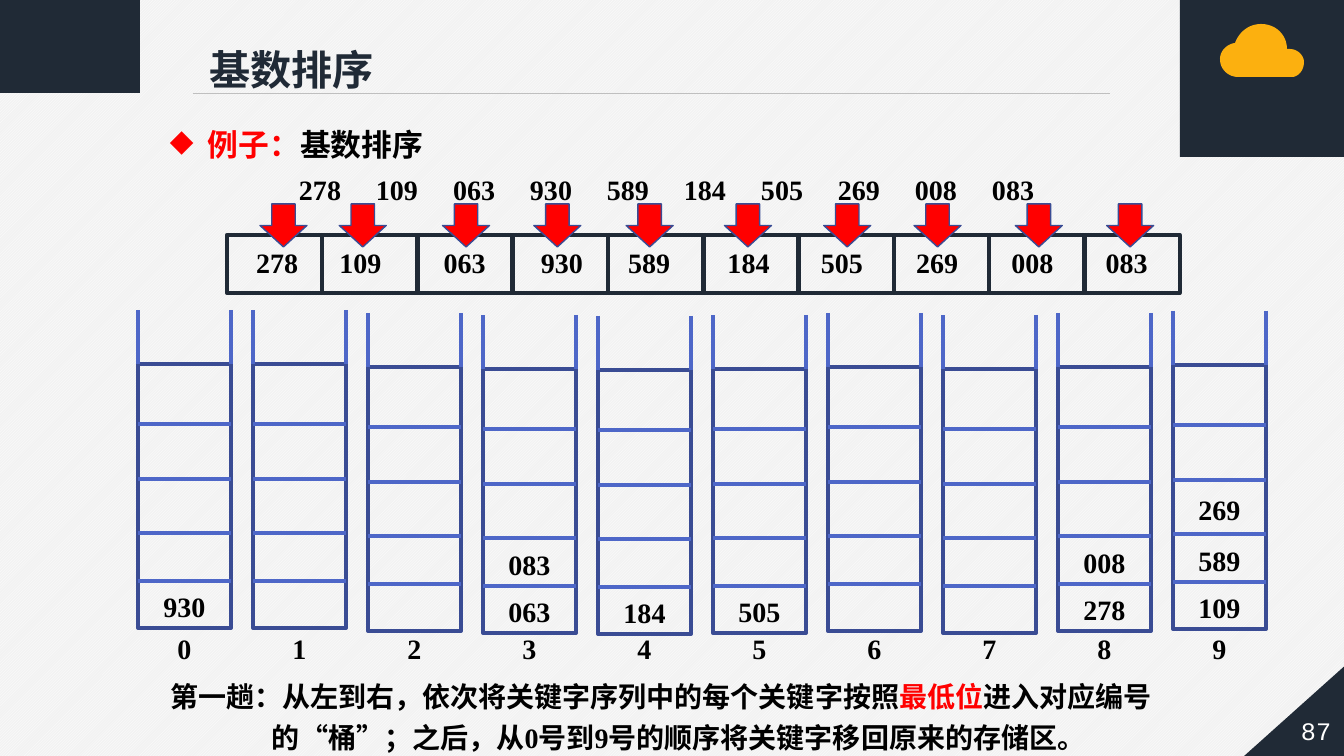
import pptx
import pptx.util
import pptx.dml.color
import pptx.enum.dml
import pptx.enum.lang
import pptx.enum.shapes
import pptx.enum.text
import pptx.oxml
import pptx.oxml.ns

SCALE = 914400 / 100.8
COLORS = {"navy": "202A36", "white": "FFFFFF", "paper": "F2F2F2", "rule": "BFBFBF", "red": "FF0000",
          "black": "000000", "amber": "FCB00F", "frame": "3A4C94", "blue": "4E67C8"}
SHAPE = pptx.enum.shapes.MSO_SHAPE
ALIGN = pptx.enum.text.PP_ALIGN
ANCHOR = pptx.enum.text.MSO_ANCHOR
BODY = {"name": "Times New Roman", "size": pptx.util.Pt(20), "bold": True,
        "language_id": pptx.enum.lang.MSO_LANGUAGE_ID.SIMPLIFIED_CHINESE}

KEYS = ["278", "109", "063", "930", "589", "184", "505", "269", "008", "083"]
KEY_OFFSETS = [19, 7, 16, 18, 10, 14, 12, 12, 12, 11]
ARROW_OFFSETS = [33, 17, 25, 21, 18, 21, 25, 20, 26, 22]
BUCKET_DROPS = [0, 0, 3, 5, 6, 5, 3, 5, 3, 1]
ROW_EDGES = [0, 60, 115, 169, 217, 264]


def px(n):
    return round(n * SCALE)


def rgb(name):
    return pptx.dml.color.RGBColor.from_string(COLORS[name])


def paint(sp, fill=None, line=None, width=3):
    sp.shadow.inherit = False
    if fill:
        sp.fill.solid()
        sp.fill.fore_color.rgb = rgb(fill)
    else:
        sp.fill.background()
    if line:
        sp.line.color.rgb = rgb(line)
        sp.line.width = pptx.util.Pt(width)
    else:
        sp.line.fill.background()


def add_shape(s, kind, x, y, w, h, **style):
    sp = s.shapes.add_shape(kind, px(x), px(y), px(w), px(h))
    paint(sp, **style)
    return sp


def add_line(s, x1, y1, x2, y2, color="blue", width=3):
    straight = pptx.enum.shapes.MSO_CONNECTOR.STRAIGHT
    ln = s.shapes.add_connector(straight, px(x1), px(y1), px(x2), px(y2))
    ln.line.color.rgb = rgb(color)
    ln.line.width = pptx.util.Pt(width)
    ln._element.spPr.append(pptx.oxml.parse_xml(
        f'<a:effectLst {pptx.oxml.ns.nsdecls("a")}/>'))


def fill_paragraph(p, runs, spacing=1.0, align=ALIGN.LEFT, **font):
    """Write (text, color) runs into a paragraph."""
    p.line_spacing = spacing
    p.alignment = align
    for text, color in runs:
        r = p.add_run()
        r.text = text
        for name, value in {**BODY, **font}.items():
            setattr(r.font, name, value)
        r.font.color.rgb = rgb(color)


def add_text(s, x, y, w, h, *paragraphs, anchor=ANCHOR.TOP, inset=10, **style):
    tf = s.shapes.add_textbox(px(x), px(y), px(w), px(h)).text_frame
    frame = {"word_wrap": True, "vertical_anchor": anchor,
             "margin_left": px(inset), "margin_right": px(inset)}
    for name, value in frame.items():
        setattr(tf, name, value)
    for i, runs in enumerate(paragraphs):
        p = tf.add_paragraph() if i else tf.paragraphs[0]
        fill_paragraph(p, runs, **style)
    return tf


def add_to_properties(p, xml):
    ns = pptx.oxml.ns.nsdecls("a")
    for child in pptx.oxml.parse_xml(f"<a:pPr {ns}>{xml}</a:pPr>"):
        p._p.get_or_add_pPr().append(child)


def draw_cloud(s):
    last = (1235, 43)
    curves = [((1239, 32), (1249, 24), (1261, 24)), ((1276, 24), (1287, 35), (1287, 49)),
              ((1288, 49), (1289, 49), (1290, 49)), ((1297, 49), (1304, 55), (1304, 62)),
              ((1304, 70), (1299, 76), (1293, 77)), ((1293, 77), (1238, 77), (1238, 77)),
              ((1229, 77), (1220, 70), (1220, 59)), ((1220, 51), (1227, 44), (1235, 43))]
    fb = s.shapes.build_freeform(px(last[0]), px(last[1]))
    points = []
    for a, b, end in curves:
        for step in range(1, 13):
            t = step / 12
            u = 1 - t
            points.append(tuple(px(u**3 * p0 + 3 * u * u * t * p1 + 3 * u * t * t * p2 + t**3 * p3)
                                for p0, p1, p2, p3 in zip(last, a, b, end)))
        last = end
    fb.add_line_segments(points, close=True)
    paint(fb.convert_to_shape(), fill="amber")


def draw_frame(s):
    """Background, corner blocks, title rule and page number."""
    fill = s.background.fill
    fill.patterned()
    fill.pattern = pptx.enum.dml.MSO_PATTERN.LIGHT_UPWARD_DIAGONAL
    fill.fore_color.rgb = rgb("white")
    fill.back_color.rgb = rgb("paper")
    add_shape(s, SHAPE.RECTANGLE, 0, 0, 140, 93, fill="navy")
    add_shape(s, SHAPE.RECTANGLE, 1180, -7, 164, 164, fill="navy")
    add_line(s, 193, 93, 1110, 93, "rule", 0.5)
    corner = add_shape(s, SHAPE.RIGHT_TRIANGLE, 1243, 663, 105, 94, fill="navy")
    corner._element.spPr.xfrm.set("flipH", "1")
    add_text(s, 1288, 704, 56, 52, [("87", "white")], anchor=ANCHOR.MIDDLE, inset=0,
             align=ALIGN.CENTER, name="Courier New", size=pptx.util.Pt(18), bold=False)
    draw_cloud(s)


def draw_title(s, x, y, w, h):
    title = s.shapes.title
    place = {"left": x, "top": y, "width": w, "height": h}
    for name, value in place.items():
        setattr(title, name, px(value))
    tf = title.text_frame
    frame = {"word_wrap": False, "vertical_anchor": ANCHOR.TOP,
             "auto_size": pptx.enum.text.MSO_AUTO_SIZE.NONE}
    for name, value in frame.items():
        setattr(tf, name, value)
    fill_paragraph(tf.paragraphs[0], [("基数排序", "navy")], 1.2, size=pptx.util.Pt(29.4))


def draw_heading(s, x, y, w, h):
    tf = add_text(s, x, y, w, h, [("例子：", "red"), ("基数排序", "black")],
                  spacing=1.5, size=pptx.util.Pt(22))
    p = tf.paragraphs[0]
    pPr = p._p.get_or_add_pPr()
    pPr.set("marL", str(px(38)))
    pPr.set("indent", str(-px(38)))
    add_to_properties(p, f'<a:buClr><a:srgbClr val="{COLORS["red"]}"/></a:buClr><a:buChar char="◆"/>')


def draw_key_list(s, x, y, w, h, pitch=77):
    tf = add_text(s, x, y, w, h, [("\t".join(KEYS), "black")])
    tabs = "".join(f'<a:tab pos="{px(pitch * i)}" algn="l"/>' for i in range(1, len(KEYS)))
    add_to_properties(tf.paragraphs[0], f"<a:tabLst>{tabs}</a:tabLst>")


def draw_storage(s, x, y, w, h):
    """Row of cells, each with a key and an arrow pointing in."""
    lefts = [x + w * i / len(KEYS) for i in range(len(KEYS))]
    for left in lefts:
        add_shape(s, SHAPE.RECTANGLE, left, y, 95, h, line="navy")
    for left, key, key_dx, arrow_dx in zip(lefts, KEYS, KEY_OFFSETS, ARROW_OFFSETS):
        add_text(s, left + key_dx, y + 6, 71, 44, [(key, "black")])
        add_shape(s, SHAPE.DOWN_ARROW, left + arrow_dx, y - 31, 47, 43,
                  fill="red", line="frame", width=1)


def draw_bucket(s, digit, keys, x, y, w):
    """Open-topped bucket with keys stacked from the bottom row up."""
    add_shape(s, SHAPE.RECTANGLE, x, y, w, ROW_EDGES[-1], line="frame")
    for edge in ROW_EDGES[1:-1]:
        add_line(s, x, y + edge, x + w, y + edge)
    for side in (x, x + w):
        add_line(s, side, y - 54, side, y)
    rows = list(zip(ROW_EDGES, ROW_EDGES[1:]))[::-1]
    for key, (top, bottom) in zip(keys, rows):
        add_text(s, x, y + top + 2, w, bottom - top, [(key, "black")],
                 anchor=ANCHOR.MIDDLE, align=ALIGN.CENTER)
    add_text(s, x, 627, w, 44, [(str(digit), "black")], align=ALIGN.CENTER)


def draw_buckets(s, x, y, pitch, w):
    for digit, drop in enumerate(BUCKET_DROPS):
        keys = [key for key in KEYS if key.endswith(str(digit))]
        draw_bucket(s, digit, keys, x + pitch * digit, y + drop, w)


def draw_explanation(s, x, y, w, h):
    first = [("第一趟：从左到右，依次将关键字序列中的每个关键字按照", "black"),
             ("最低位", "red"), ("进入对应编号", "black")]
    second = [("的“桶”；之后，从0号到9号的顺序将关键字移回原来的存储区。", "black")]
    tf = add_text(s, x, y, w, h, first, second, spacing=1.2)
    tf.paragraphs[1]._p.get_or_add_pPr().set("marL", str(px(102)))


def main():
    prs = pptx.Presentation()
    prs.slide_width, prs.slide_height = px(1344), px(756)
    s = prs.slides.add_slide(prs.slide_layouts.get_by_name("Title Only"))
    draw_frame(s)
    draw_title(s, 199, 29, 187, 65)
    draw_heading(s, 160, 102, 284, 67)
    draw_key_list(s, 289, 168, 870, 44)
    draw_buckets(s, 138, 364, 115, 93)
    draw_storage(s, 227, 235, 953, 58)
    draw_explanation(s, 160, 668, 1019, 88)
    prs.save("out.pptx")


if __name__ == "__main__":
    main()
